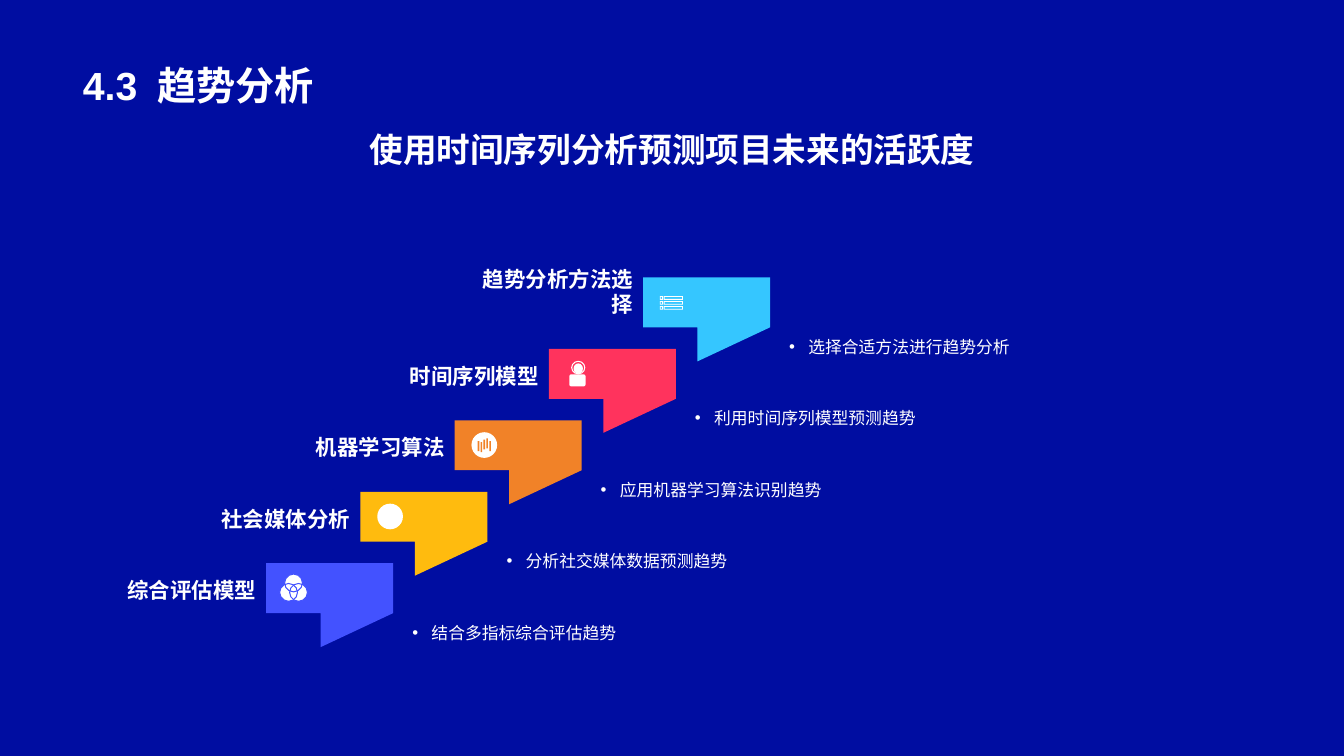
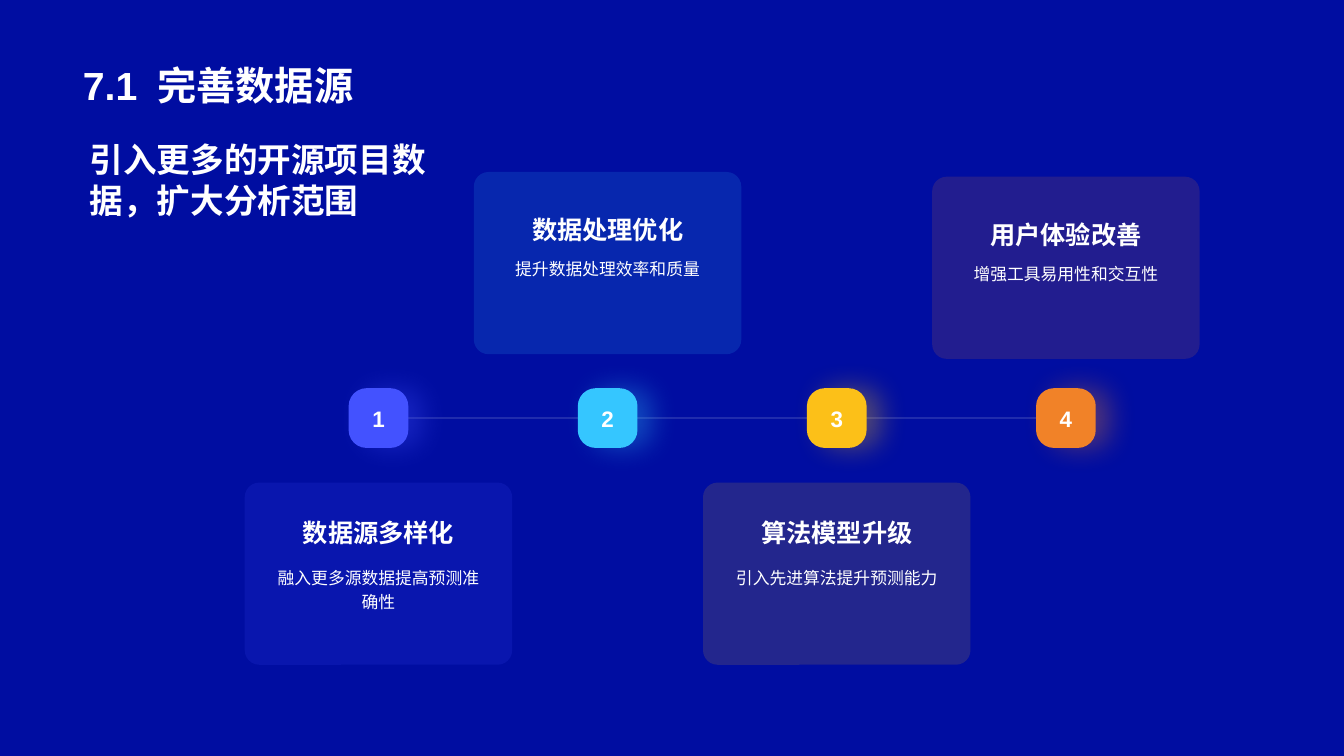
from lxml import etree
from pptx import Presentation
from pptx.dml.color import RGBColor
from pptx.enum.shapes import MSO_CONNECTOR as Connector, MSO_SHAPE as Shape
from pptx.enum.text import MSO_ANCHOR as Anchor, PP_ALIGN as Align
from pptx.oxml.ns import qn
from pptx.util import Inches, Pt

# Shared look
WIDTH, HEIGHT = Inches(13.33), Inches(7.5)
FONT = "Arial"
NAVY, WHITE = "000DA1", "FFFFFF"
INDIGO, CYAN, ORANGE = "4352FF", "35C6FF", "F18228"
AMBER, GOLD, RED = "FFBB0E", "FCC018", "FF335D"
ICON_SIZE = Inches(0.26)

# Slide 1: label, detail, colour and icon of each step, from the top down
STEPS = [
    ("趋势分析方法选择", "选择合适方法进行趋势分析", CYAN, "list"),
    ("时间序列模型", "利用时间序列模型预测趋势", RED, "person"),
    ("机器学习算法", "应用机器学习算法识别趋势", ORANGE, "bars"),
    ("社会媒体分析", "分析社交媒体数据预测趋势", AMBER, "disc"),
    ("综合评估模型", "结合多指标综合评估趋势", INDIGO, "circles"),
]
# Slide 2: heading, detail, colour, card top, offsets of heading and detail
MILESTONES = [
    ("数据源多样化", "融入更多源数据提高预测准确性", INDIGO, 63.83, -0.63, 10.7),
    ("数据处理优化", "提升数据处理效率和质量", CYAN, 22.75, 0.4, 10.93),
    ("算法模型升级", "引入先进算法提升预测能力", GOLD, 63.83, -0.63, 10.7),
    ("用户体验改善", "增强工具易用性和交互性", ORANGE, 23.37, 0.4, 10.93),
]
FIRST_MIDDLE, MIDDLE_STEP = 28.16, 17.05


def color(value):
    return RGBColor.from_string(value)


def across(percent):
    return round(WIDTH * percent / 100)


def down(percent):
    return round(HEIGHT * percent / 100)


def area(left, top, width, height):
    """Turn percentages of the slide into a position and a size."""
    return across(left), down(top), across(width), down(height)


def add_alpha(element, percent):
    """Make the solid colour inside an element partly transparent."""
    rgb = next(element.iter(qn("a:srgbClr")))
    etree.SubElement(rgb, qn("a:alpha"), val=str(percent * 1000))


def add_glow(shape, value):
    """Cast a soft coloured shadow to the right."""
    effects = shape._element.spPr.find(qn("a:effectLst"))
    shadow = etree.SubElement(effects, qn("a:outerShdw"), blurRad=str(Pt(20)),
                              dist=str(Pt(10)), dir="0", algn="ctr", rotWithShape="0")
    etree.SubElement(shadow, qn("a:srgbClr"), val=value)
    add_alpha(shadow, 32)


def write(frame, text, size, bold=False, align=Align.LEFT, anchor=Anchor.TOP,
          spacing=None, margin=0.05):
    frame.word_wrap = True
    frame.vertical_anchor = anchor
    frame.margin_top = frame.margin_bottom = Inches(margin)
    paragraph = frame.paragraphs[0]
    paragraph.text = text
    paragraph.alignment = align
    if spacing:
        paragraph.line_spacing = spacing
    font = paragraph.font
    font.name, font.size, font.bold = FONT, Pt(size), bold
    font.color.rgb = color(WHITE)
    return paragraph


def add_text(slide, box, text, size, **style):
    return write(slide.shapes.add_textbox(*box).text_frame, text, size, **style)


def paint(shape, fill=None, line=None):
    shape.shadow.inherit = False
    if fill:
        shape.fill.solid()
        shape.fill.fore_color.rgb = color(fill)
    else:
        shape.fill.background()
    if line:
        shape.line.color.rgb = color(line)
        shape.line.width = Pt(0.75)
    else:
        shape.line.fill.background()
    return shape


def add_rounded(slide, box, fill, radius):
    shape = paint(slide.shapes.add_shape(Shape.ROUNDED_RECTANGLE, *box), fill)
    shape.adjustments[0] = radius
    return shape


def add_outline(slide, contours, fill):
    """Draw closed contours as one shape; inner contours are holes."""
    builder = slide.shapes.build_freeform(*contours[0][0])
    for index, points in enumerate(contours):
        if index:
            builder.move_to(*points[0])
        builder.add_line_segments(points[1:], close=True)
    paint(builder.convert_to_shape(), fill)


def add_slide(presentation, number, title):
    slide = presentation.slides.add_slide(presentation.slide_layouts[6])
    slide.background.fill.solid()
    slide.background.fill.fore_color.rgb = color(NAVY)
    paragraph = add_text(slide, area(5.43, 1.87, 89.1, 13.07), f"{number}\t{title}", 28,
                         bold=True, anchor=Anchor.BOTTOM)
    # The tab stop sets the gap between number and title
    tabs = etree.SubElement(paragraph._p.get_or_add_pPr(), qn("a:tabLst"))
    etree.SubElement(tabs, qn("a:tab"), pos=str(Inches(0.74)), algn="l")
    return slide


def icon_parts(name, accent):
    """List shape, left, top, width, height (shares of the icon), fill and line."""
    if name == "person":
        return [(Shape.OVAL, 0.3, 0.1, 0.36, 0.4, WHITE, None),
                (Shape.OVAL, 0.23, 0.02, 0.5, 0.48, None, WHITE),
                (Shape.ROUNDED_RECTANGLE, 0.14, 0.52, 0.62, 0.46, WHITE, None)]
    disc = (Shape.OVAL, 0, 0, 0.98, 0.98, WHITE, None)
    if name == "disc":
        return [disc]
    if name == "bars":
        tops = (0.34, 0.38, 0.28, 0.24, 0.34)
        return [disc] + [(Shape.RECTANGLE, 0.24 + 0.11 * index, top, 0.06, 0.38, accent, None)
                         for index, top in enumerate(tops)]
    # Three discs, then their rims, so that every overlap shows
    places = ((0.06, -0.04), (-0.13, 0.32), (0.25, 0.32))
    return [(Shape.OVAL, left, top, 0.68, 0.68, fill, line)
            for fill, line in ((WHITE, None), (None, accent)) for left, top in places]


def add_list_icon(slide, left, top):
    """Draw three hollow bars, each with a hollow bullet."""
    contours = []
    for row in (0.26, 0.45, 0.64):
        for start, end in ((0, 0.12), (0.15, 0.88)):
            for inset in (0, 0.03):
                x1, x2, y1, y2 = start + inset, end - inset, row + inset, row + 0.14 - inset
                corners = [(x1, y1), (x2, y1), (x2, y2), (x1, y2)]
                contours.append([(round(left + ICON_SIZE * x), round(top + ICON_SIZE * y))
                                 for x, y in corners])
    add_outline(slide, contours, WHITE)


def add_icon(slide, left, top, name, accent):
    if name == "list":
        add_list_icon(slide, left, top)
        return
    for kind, *shares, fill, line in icon_parts(name, accent):
        x, y, width, height = (round(ICON_SIZE * share) for share in shares)
        paint(slide.shapes.add_shape(kind, left + x, top + y, width, height), fill, line)


def add_arrow(slide, left, top, fill):
    outline = [(4.05, 11.1), (4.05, 6.6), (0, 6.6), (0, 0), (9.45, 0), (9.45, 6.6)]
    add_outline(slide, [[(across(left + x), down(top + y)) for x, y in outline]], fill)


def add_bullet(paragraph):
    properties = paragraph._p.get_or_add_pPr()
    properties.set("marL", str(Inches(0.19)))
    properties.set("indent", str(-Inches(0.19)))
    etree.SubElement(properties, qn("a:buFont"), typeface=FONT)
    etree.SubElement(properties, qn("a:buChar"), char="•")


def add_step(slide, index, label, detail, fill, icon):
    left, top = 47.85 - 7.01 * index, 36.7 + 9.45 * index
    add_arrow(slide, left, top, fill)
    add_icon(slide, across(left + 1.25), down(top + 1.57), icon, fill)
    add_text(slide, area(left - 14.03, top + 0.3, 14.03, 5.6), label, 15.3,
             bold=True, align=Align.RIGHT, anchor=Anchor.BOTTOM)
    add_bullet(add_text(slide, area(left + 10.13, top + 2.75, 35.8, 8.4), detail, 12,
                        anchor=Anchor.BOTTOM, spacing=1.2))


def add_timeline(slide):
    """Draw the line that runs behind all nodes."""
    start = FIRST_MIDDLE - 0.65
    end = FIRST_MIDDLE + 3 * MIDDLE_STEP + 0.25
    height = down(55.3)
    line = slide.shapes.add_connector(Connector.STRAIGHT, across(end), height,
                                      across(start), height)
    line.line.color.rgb = color(WHITE)
    line.line.width = Pt(1)
    properties = line._element.spPr
    add_alpha(properties, 20)
    etree.SubElement(properties, qn("a:effectLst"))


def add_milestone(slide, index, heading, detail, fill, top, heading_offset, detail_offset):
    """Draw a card and its numbered node."""
    middle = FIRST_MIDDLE + MIDDLE_STEP * index
    card = add_rounded(slide, area(middle - 9.95, top, 19.9, 24.1), fill, 0.08)
    add_alpha(card.fill._xPr, 14)
    text_left = middle - 8.25
    add_text(slide, area(text_left, top + heading_offset, 16.5, 9.87), heading, 18,
             bold=True, align=Align.CENTER, anchor=Anchor.BOTTOM)
    add_text(slide, area(text_left, top + detail_offset, 16.5, 13.2), detail, 12,
             align=Align.CENTER, spacing=1.2, margin=0)
    node = add_rounded(slide, area(middle - 2.22, 51.35, 4.44, 7.9), fill, 0.3)
    add_glow(node, fill)
    write(node.text_frame, str(index + 1), 16, bold=True, align=Align.CENTER,
          anchor=Anchor.MIDDLE)


def build_trend_slide(presentation):
    slide = add_slide(presentation, "4.3", "趋势分析")
    add_text(slide, area(6, 16.4, 88, 18), "使用时间序列分析预测项目未来的活跃度", 24,
             bold=True, align=Align.CENTER)
    for index, step in enumerate(STEPS):
        add_step(slide, index, *step)


def build_source_slide(presentation):
    slide = add_slide(presentation, "7.1", "完善数据源")
    add_text(slide, area(5.93, 17.77, 27.15, 21.87),
             "引入更多的开源项目数据，扩大分析范围", 24, bold=True)
    add_timeline(slide)
    for index, milestone in enumerate(MILESTONES):
        add_milestone(slide, index, *milestone)


def main():
    presentation = Presentation()
    presentation.slide_width, presentation.slide_height = WIDTH, HEIGHT
    build_trend_slide(presentation)
    build_source_slide(presentation)
    presentation.save("out.pptx")


if __name__ == "__main__":
    main()
